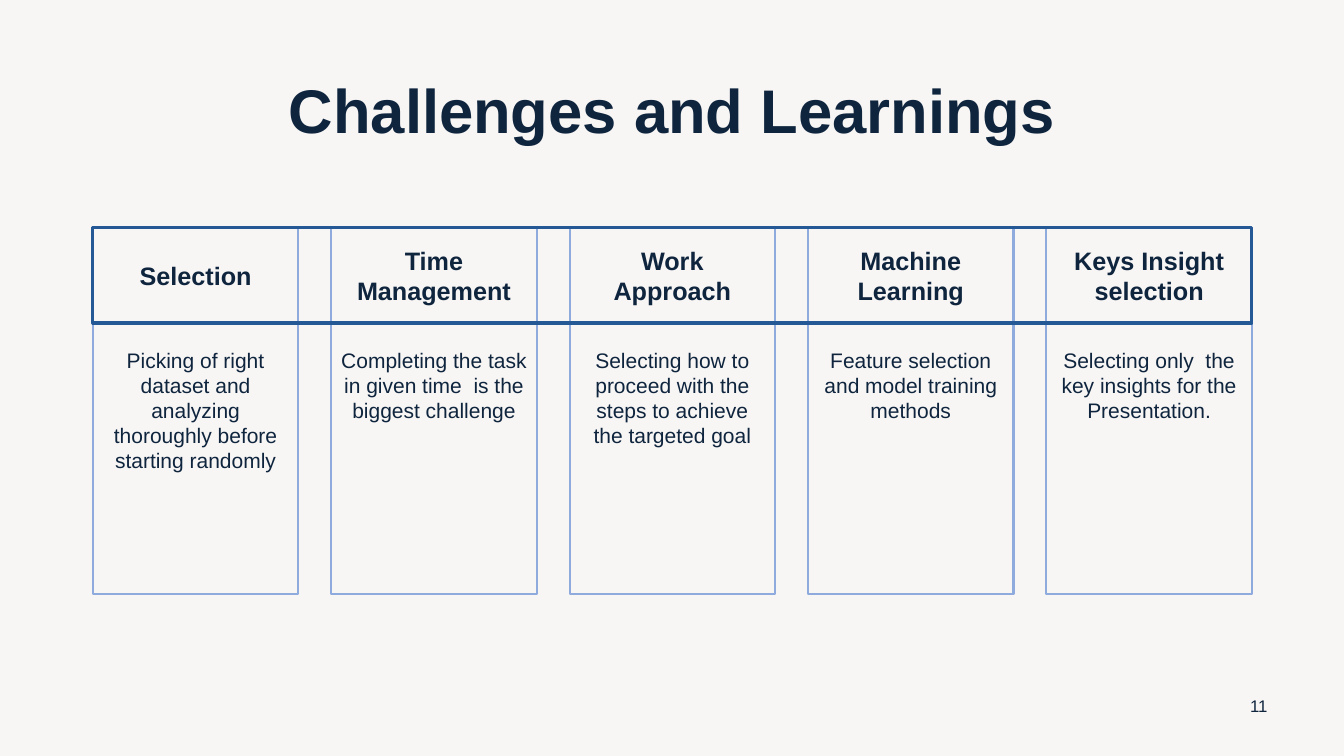
"""Build the Challenges and Learnings slide."""
from pptx import Presentation, util as u
from pptx.dml.color import RGBColor
from pptx.enum import shapes, text

COLORS = {"paper": "F8F6F5", "ink": "0F253E", "card": "8FAADC", "band": "245995"}
LEFT, TOP, TOTAL_WIDTH = 2.34, 5.74, 29.21
CARD_WIDTH, HEADING_HEIGHT, DETAIL_HEIGHT = 5.18, 2.4, 6.83
CARDS = [
    ("Selection",
     "Picking of right dataset and analyzing thoroughly before starting randomly"),
    ("Time Management",
     "Completing the task in given time  is the biggest challenge"),
    ("Work Approach",
     "Selecting how to proceed with the steps to achieve the targeted goal"),
    ("Machine Learning", "Feature selection and model training methods"),
    ("Keys Insight selection",
     "Selecting only  the key insights for the\nPresentation."),
]


def write(box, words, size, bold=False, anchor=text.MSO_ANCHOR.MIDDLE,
          inset_top=0.13, line_spacing=None):
    frame = box.text_frame
    frame.text = words
    frame.word_wrap = True
    frame.auto_size = text.MSO_AUTO_SIZE.NONE
    frame.vertical_anchor = anchor
    frame.margin_top = u.Cm(inset_top)
    for para in frame.paragraphs:
        para.alignment = text.PP_ALIGN.CENTER
        para.line_spacing = line_spacing
        for span in para.runs:
            span.font.name = "Arial"
            span.font.size = u.Pt(size)
            span.font.bold = bold
            span.font.color.rgb = RGBColor.from_string(COLORS["ink"])


def add_frame(page, left, top, width, height, color, weight):
    box = page.shapes.add_shape(shapes.MSO_SHAPE.RECTANGLE, u.Cm(left), u.Cm(top),
                                u.Cm(width), u.Cm(height))
    box.shadow.inherit = False
    box.fill.background()
    box.line.color.rgb = RGBColor.from_string(COLORS[color])
    box.line.width = u.Pt(weight)
    return box


deck = Presentation()
deck.slide_width, deck.slide_height = u.Cm(33.87), u.Cm(19.05)
page = deck.slides.add_slide(deck.slide_layouts[5])
page.background.fill.solid()
page.background.fill.fore_color.rgb = RGBColor.from_string(COLORS["paper"])

title = page.shapes.title
title.left, title.top = u.Cm(LEFT), u.Cm(1.02)
title.width, title.height = u.Cm(TOTAL_WIDTH), u.Cm(3.68)
write(title, "Challenges and Learnings", size=44, bold=True, line_spacing=0.9)

pitch = (TOTAL_WIDTH - CARD_WIDTH) / (len(CARDS) - 1)
for column, (heading, detail) in enumerate(CARDS):
    left = LEFT + column * pitch
    heading_box = add_frame(page, left, TOP, CARD_WIDTH, HEADING_HEIGHT, "card", 1.5)
    write(heading_box, heading, size=18, bold=True)
    detail_box = add_frame(page, left, TOP + HEADING_HEIGHT, CARD_WIDTH,
                           DETAIL_HEIGHT, "card", 1.5)
    write(detail_box, detail, size=15, anchor=text.MSO_ANCHOR.TOP, inset_top=0.61)

add_frame(page, LEFT, TOP, TOTAL_WIDTH, HEADING_HEIGHT, "band", 2.25)

page_number = page.shapes.add_textbox(u.Cm(31.09), u.Cm(17.27), u.Cm(1.27), u.Cm(1.02))
write(page_number, "11", size=12)

deck.save("out.pptx")
